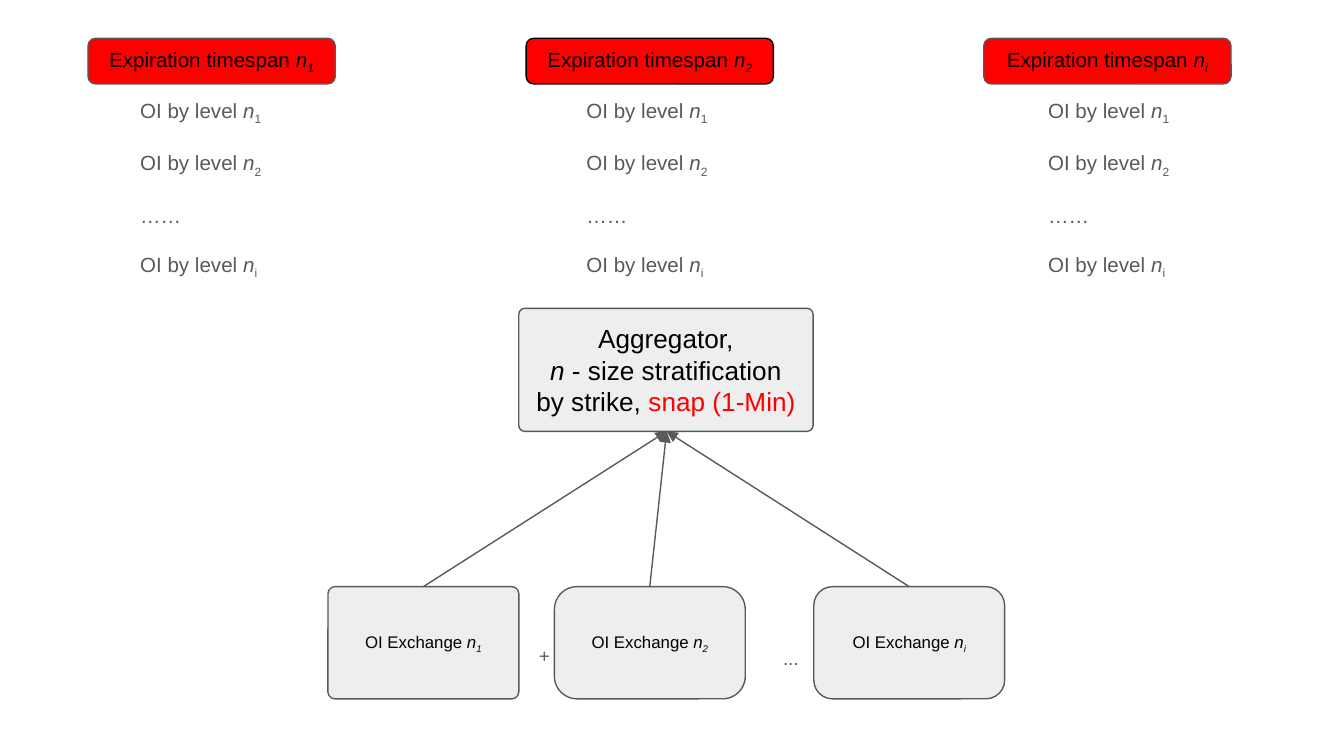
from lxml.etree import SubElement
from pptx import Presentation
from pptx.dml.color import RGBColor
from pptx.enum.shapes import MSO_CONNECTOR, MSO_SHAPE
from pptx.enum.text import MSO_ANCHOR, PP_ALIGN
from pptx.oxml.ns import qn
from pptx.util import Pt

PX = 4572  # 200 px to the inch
RED = RGBColor(0xFF, 0x00, 0x00)
BLACK = RGBColor(0x00, 0x00, 0x00)
GREY = RGBColor(0x59, 0x59, 0x59)
PALE = RGBColor(0xEE, 0xEE, 0xEE)
SLANT = {"italic": True}


def emu(*vals):
    return [v * PX for v in vals]


def add_runs(para, runs, size, color):
    """Each run is text, font values and whether it is a subscript."""
    for text, style, sub in runs:
        run = para.add_run()
        run.text = text
        style = {"name": "Arial", "size": Pt(size), "color": color, **style}
        run.font.color.rgb = style.pop("color")
        for key, val in style.items():
            setattr(run.font, key, val)
        if sub:
            run._r.get_or_add_rPr().set("baseline", "-25000")


def fill_text(shape, paras, size, color, align, anchor, gap=0, lead=1.0):
    frame = shape.text_frame
    form = {"word_wrap": True, "vertical_anchor": anchor}
    form.update({f"margin_{s}": 20 * PX for s in ("left", "right", "top", "bottom")})
    for key, val in form.items():
        setattr(frame, key, val)
    for i, runs in enumerate(paras):
        para = frame.add_paragraph() if i else frame.paragraphs[0]
        para.alignment = align
        para.line_spacing = lead
        if i:
            para.space_before = Pt(gap)
        add_runs(para, runs, size, color)


def index_runs(label, index, slant):
    return [(label + " ", {}, False), ("n", SLANT, False),
            (index, {"italic": slant}, True)]


def add_box(slide, box, paras, size, fill, line=GREY, curve=0.167):
    shape = slide.shapes.add_shape(MSO_SHAPE.ROUNDED_RECTANGLE, *emu(*box))
    shape.adjustments[0] = curve
    shape.shadow.inherit = False
    shape.fill.solid()
    shape.fill.fore_color.rgb = fill
    shape.line.color.rgb = line
    shape.line.width = Pt(0.75)
    fill_text(shape, paras, size, BLACK, PP_ALIGN.CENTER, MSO_ANCHOR.MIDDLE)


def add_note(slide, box, paras, size, turn=0, **form):
    shape = slide.shapes.add_textbox(*emu(*box))
    shape.rotation = turn
    fill_text(shape, paras, size, GREY, PP_ALIGN.LEFT, MSO_ANCHOR.TOP, **form)


def add_arrow(slide, start, end):
    link = slide.shapes.add_connector(MSO_CONNECTOR.STRAIGHT, *emu(*start, *end))
    link.line.color.rgb = GREY
    link.line.width = Pt(0.75)
    SubElement(link.line._get_or_add_ln(), qn("a:tailEnd"), type="triangle")
    SubElement(link._element.spPr, qn("a:effectLst"))


def add_span(slide, box, index, line, indent):
    """Expiration header with its list of levels below."""
    left, top, width, height = box
    add_box(slide, (left, top, width, 68),
            [index_runs("Expiration timespan", index, True)], 11, RED, line)
    rows = [index_runs("OI by level", i, False) for i in "12i"]
    rows.insert(2, [("……", {}, False)])
    add_note(slide, (left + indent, top + 69, 334, height - 69), rows, 11, gap=13)


def add_hub(slide, box):
    """Aggregator in the middle."""
    add_box(slide, box, [
        [("Aggregator,", {}, False)],
        [("n ", SLANT, False), ("- size stratification by strike, ", {}, False),
         ("snap (1-Min)", {"color": RED}, False)],
    ], 14, PALE, curve=0.048)


def add_feeds(slide, box, hub):
    """Row of exchanges, each with an arrow to the hub."""
    left, top, width, height = box
    wide = 284
    for index, shift, curve in (("1", 0, 0.062), ("2", 337, 0.202),
                                ("i", width - wide, 0.167)):
        x = left + shift
        add_box(slide, (x, top, wide, height),
                [index_runs("OI Exchange", index, True)], 9, PALE, curve=curve)
        add_arrow(slide, (x + wide // 2, top), hub)
    for mark, shift, drop, span in (("+", 264, 43, 86), ("...", 624, 63, 96)):
        add_note(slide, (left + shift, top + drop, span, 104),
                 [[(mark, {}, False)]], 10, turn=180, lead=1.15)


def main():
    deck = Presentation()
    deck.slide_width, deck.slide_height = emu(2000, 1125)
    slide = deck.slides.add_slide(deck.slide_layouts[6])
    for index, left, line, indent in (("1", 131, GREY, 58), ("2", 783, BLACK, 70),
                                      ("i", 1464, GREY, 76)):
        add_span(slide, (left, 57, 368, 421), index, line, indent)
    add_hub(slide, (772, 459, 438, 183))
    add_feeds(slide, (488, 873, 1007, 167), (992, 642))
    deck.save("out.pptx")


if __name__ == "__main__":
    main()
